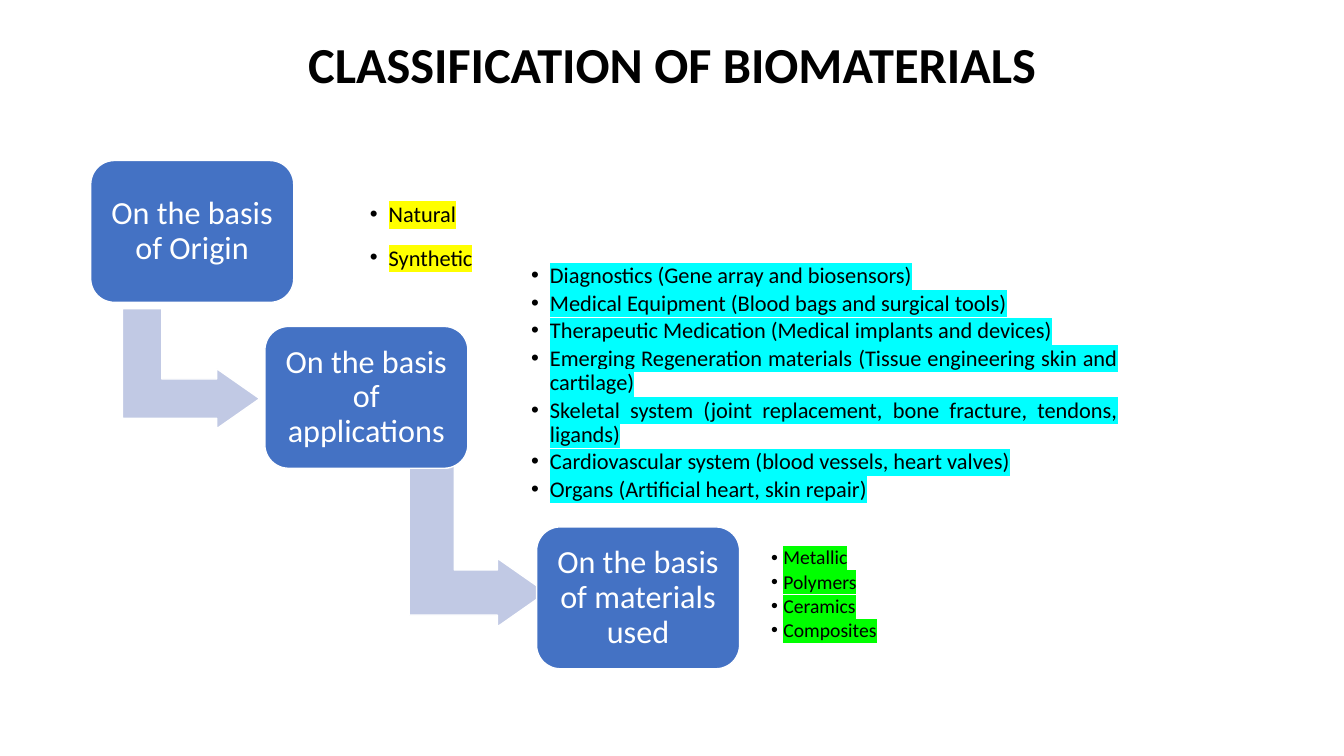
from dataclasses import dataclass

from lxml import etree
from pptx import Presentation
from pptx.dml.color import RGBColor
from pptx.enum.shapes import MSO_SHAPE
from pptx.enum.text import MSO_ANCHOR, MSO_AUTO_SIZE, PP_ALIGN
from pptx.oxml.ns import qn
from pptx.util import Pt

ROUNDED = MSO_SHAPE.ROUNDED_RECTANGLE
BENT_ARROW = MSO_SHAPE.BENT_UP_ARROW
MIDDLE, BOTTOM = MSO_ANCHOR.MIDDLE, MSO_ANCHOR.BOTTOM
LEFT, CENTER, JUSTIFY = PP_ALIGN.LEFT, PP_ALIGN.CENTER, PP_ALIGN.JUSTIFY
FIXED_SIZE = MSO_AUTO_SIZE.NONE
TITLE_ONLY = 5


@dataclass(frozen=True)
class Theme:
    font: str = "Calibri"
    black: str = "000000"
    white: str = "FFFFFF"
    step: str = "4472C4"
    arrow: str = "C1C9E4"
    yellow: str = "FFFF00"
    cyan: str = "00FFFF"
    green: str = "00FF00"
    title_size: float = 36
    step_size: float = 23
    list_size: float = 16
    small_list_size: float = 14
    tight: float = 0.9
    loose: float = 1.5


THEME = Theme()
STEP_WIDTH, STEP_HEIGHT = 145, 101.3
LIST_HEIGHT = 82

# Boxes are (left, top, width, height); an arrow box is the area it covers once turned.
STEPS = [
    {
        "label": "On the basis of Origin",
        "corner": (64.8, 114.7),
        "arrow": (87.5, 220.5, 98, 85.7),
        "list_box": (259.2, 122.4, 498, LIST_HEIGHT),
        "items": ["Natural", "Synthetic"],
        "style": {"highlight": THEME.yellow, "size": THEME.list_size, "indent": 13.5,
                  "spacing": THEME.loose, "alignment": LEFT},
    },
    {
        "label": "On the basis of applications",
        "corner": (189.2, 233.2),
        "arrow": (292.3, 306.8, 98, 141),
        "list_box": (374.4, 232.8, 429, LIST_HEIGHT),
        "items": [
            "Diagnostics (Gene array and biosensors)",
            "Medical Equipment (Blood bags and surgical tools)",
            "Therapeutic Medication (Medical implants and devices)",
            "Emerging Regeneration materials (Tissue engineering skin and cartilage)",
            "Skeletal system (joint replacement, bone fracture, tendons, ligands)",
            "Cardiovascular system (blood vessels, heart valves)",
            "Organs (Artificial heart, skin repair)",
        ],
        "style": {"highlight": THEME.cyan, "size": THEME.list_size, "indent": 13.5,
                  "spacing": THEME.tight, "alignment": JUSTIFY},
    },
    {
        "label": "On the basis of materials used",
        "corner": (383.3, 376.4),
        "arrow": None,
        "list_box": (545.8, 383.8, 297, LIST_HEIGHT),
        "items": ["Metallic", "Polymers", "Ceramics", "Composites"],
        "style": {"highlight": THEME.green, "size": THEME.small_list_size, "indent": 8.8,
                  "spacing": THEME.tight, "alignment": LEFT},
    },
]


def set_attributes(target, values):
    for name, value in values.items():
        setattr(target, name, value)


def place(shape, box):
    names = ("left", "top", "width", "height")
    set_attributes(shape, dict(zip(names, map(Pt, box))))


def format_frame(frame, anchor, margin):
    sides = ("margin_left", "margin_top", "margin_right", "margin_bottom")
    set_attributes(frame, {"word_wrap": True, "auto_size": FIXED_SIZE, "vertical_anchor": anchor})
    set_attributes(frame, dict.fromkeys(sides, Pt(margin)))


def write_run(paragraph, text, size, color, bold=False):
    run = paragraph.add_run()
    run.text = text
    set_attributes(run.font, {"name": THEME.font, "size": Pt(size), "bold": bold})
    run.font.color.rgb = RGBColor.from_string(color)
    return run


def highlight_run(run, color):
    """Lay a marker colour behind the run; it must follow the text fill."""
    fill = run.font._element.find(qn("a:solidFill"))
    highlight = etree.Element(qn("a:highlight"))
    etree.SubElement(highlight, qn("a:srgbClr"), val=color)
    fill.addnext(highlight)


def add_bullet(paragraph, indent):
    properties = paragraph._p.get_or_add_pPr()
    properties.set("marL", str(Pt(indent)))
    properties.set("indent", str(-Pt(indent)))
    etree.SubElement(properties, qn("a:buFont"), typeface="Arial")
    etree.SubElement(properties, qn("a:buChar"), char="•")


def add_block(slide, preset, box, fill):
    shape = slide.shapes.add_shape(preset, *map(Pt, box))
    shape.shadow.inherit = False
    shape.fill.solid()
    shape.fill.fore_color.rgb = RGBColor.from_string(fill)
    shape.line.color.rgb = RGBColor.from_string(THEME.white)
    shape.line.width = Pt(1)
    return shape


def add_title(slide, text, box):
    title = slide.shapes.title
    place(title, box)
    format_frame(title.text_frame, BOTTOM, 3.6)
    paragraph = title.text_frame.paragraphs[0]
    set_attributes(paragraph, {"alignment": CENTER, "line_spacing": THEME.tight})
    write_run(paragraph, text, THEME.title_size, THEME.black, bold=True)


def add_arrow(slide, box):
    """Add a bent arrow, turned a quarter so that it covers the box."""
    left, top, width, height = box
    shift = (width - height) / 2
    arrow = add_block(slide, BENT_ARROW, (left + shift, top - shift, height, width), THEME.arrow)
    arrow.rotation = 90
    for index, value in enumerate((0.328, 0.25, 0.358)):
        arrow.adjustments[index] = value


def add_step_box(slide, label, box):
    shape = add_block(slide, ROUNDED, box, THEME.step)
    format_frame(shape.text_frame, MIDDLE, 7.2)
    paragraph = shape.text_frame.paragraphs[0]
    set_attributes(paragraph, {"alignment": CENTER, "line_spacing": THEME.tight})
    write_run(paragraph, label, THEME.step_size, THEME.white)


def add_list(slide, items, box, style):
    frame = slide.shapes.add_textbox(*map(Pt, box)).text_frame
    format_frame(frame, MIDDLE, 5)
    for index, item in enumerate(items):
        paragraph = frame.add_paragraph() if index else frame.paragraphs[0]
        add_bullet(paragraph, style["indent"])
        set_attributes(paragraph, {
            "alignment": style["alignment"],
            "line_spacing": style["spacing"],
            "space_after": Pt(0.15 * style["size"]),
        })
        run = write_run(paragraph, item, style["size"], THEME.black)
        highlight_run(run, style["highlight"])


def add_step(slide, step):
    if step["arrow"]:
        add_arrow(slide, step["arrow"])
    add_step_box(slide, step["label"], (*step["corner"], STEP_WIDTH, STEP_HEIGHT))
    add_list(slide, step["items"], step["list_box"], step["style"])


def main():
    presentation = Presentation()
    set_attributes(presentation, {"slide_width": Pt(960), "slide_height": Pt(540)})
    slide = presentation.slides.add_slide(presentation.slide_layouts[TITLE_ONLY])
    add_title(slide, "CLASSIFICATION OF BIOMATERIALS", (94.3, 9.4, 772, 62))
    for step in STEPS:
        add_step(slide, step)
    presentation.save("out.pptx")


if __name__ == "__main__":
    main()
